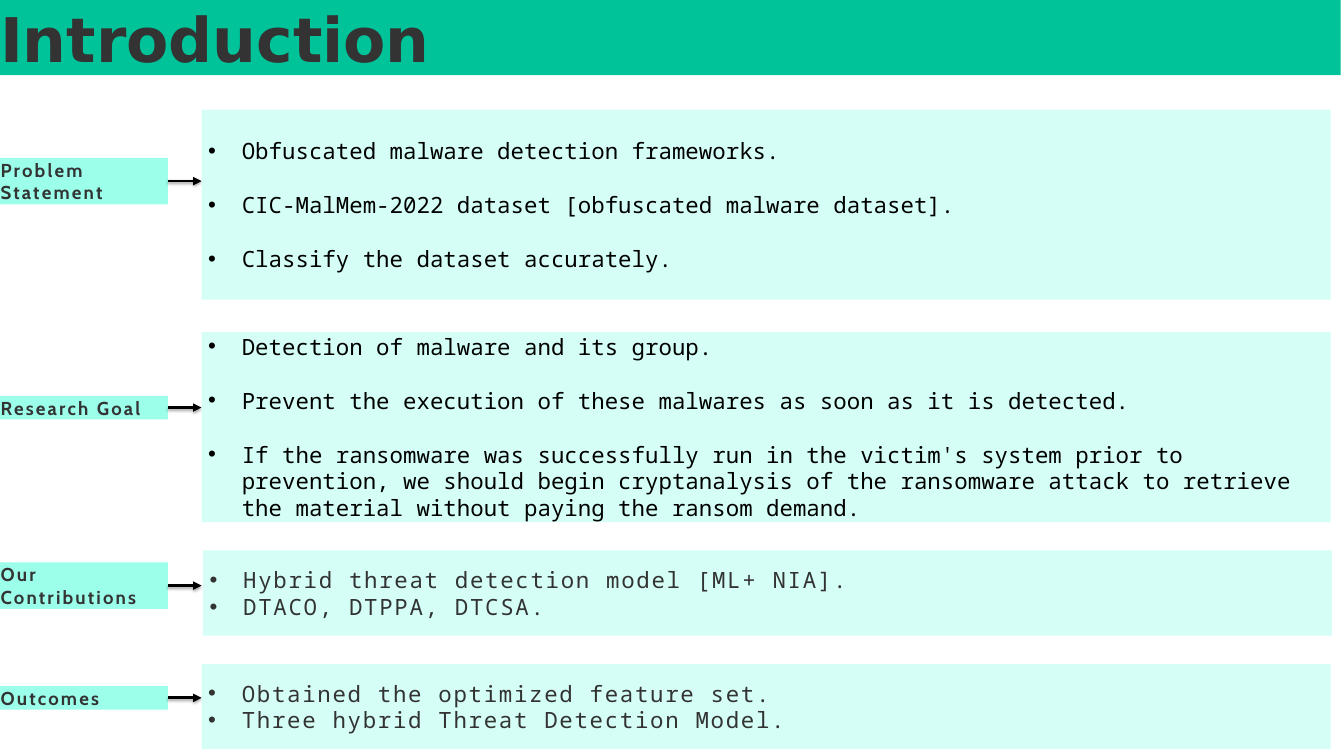
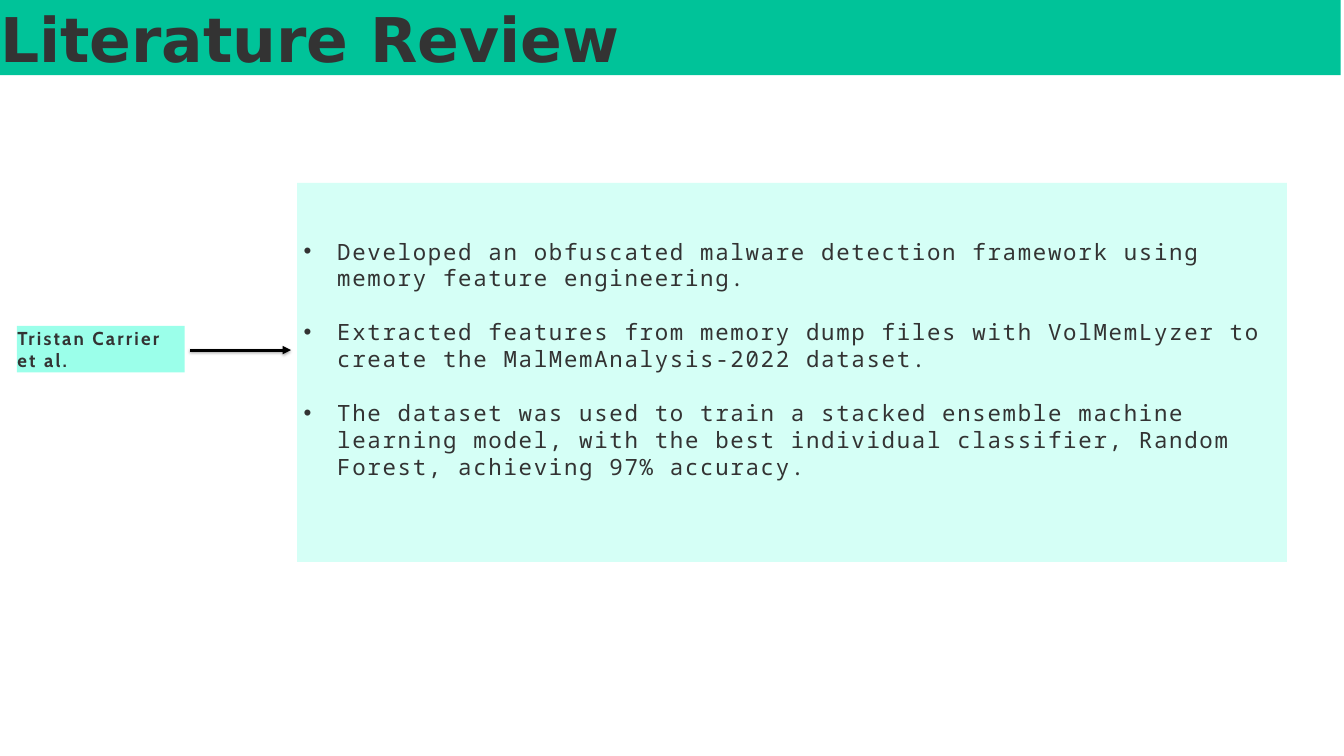
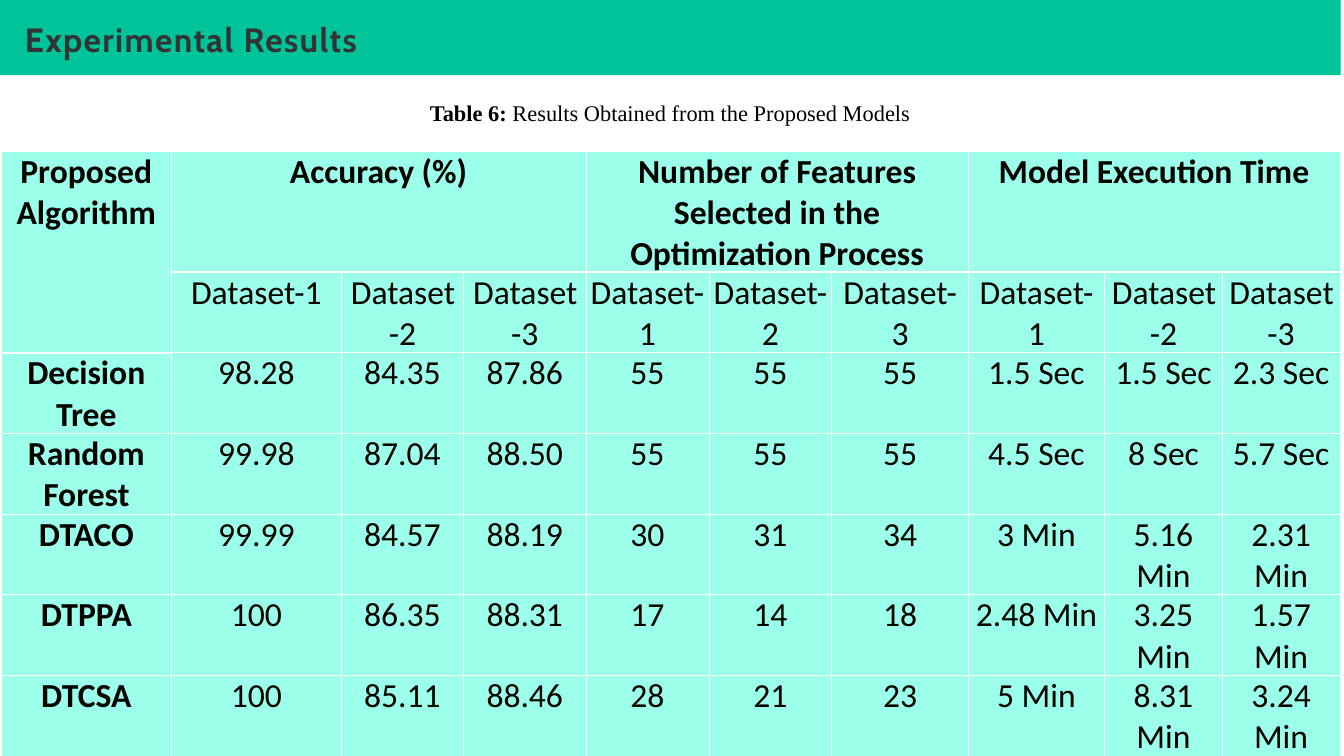
from lxml import etree
from pptx import Presentation
from pptx.dml.color import RGBColor
from pptx.enum.shapes import MSO_CONNECTOR, MSO_SHAPE
from pptx.enum.text import MSO_ANCHOR, MSO_AUTO_SIZE, PP_ALIGN
from pptx.oxml import parse_xml
from pptx.oxml.ns import nsdecls, qn
from pptx.util import Inches, Pt

RECT = MSO_SHAPE.RECTANGLE
LINE = MSO_CONNECTOR.STRAIGHT
TOP, MIDDLE = MSO_ANCHOR.TOP, MSO_ANCHOR.MIDDLE
LEFT, CENTER = PP_ALIGN.LEFT, PP_ALIGN.CENTER
GROW = MSO_AUTO_SIZE.SHAPE_TO_FIT_TEXT

# Shared look
GREEN, MINT, PALE = "00C399", "9BFFEA", "D5FFF6"
DARK, BLACK, WHITE = "333333", "000000", "FFFFFF"
HEAD, LABEL, MONO = "DejaVu Sans", "Cabin", "Noto Sans Mono"
CELL, SERIF = "Calibri", "Times New Roman"
GAP = 29  # one line of list text, in points

# Slide 1: label, label top and height, panel left, top and height,
# text colour, letter spacing, gap, list items
TOPICS = [
    ("Problem Statement", 2.35, 0.69, 3, 1.63, 2.83, BLACK, 0, GAP, [
        "Obfuscated malware detection frameworks.",
        "CIC-MalMem-2022 dataset [obfuscated malware dataset].",
        "Classify the dataset accurately."]),
    ("Research Goal", 5.89, 0.35, 3, 4.94, 2.83, BLACK, 0, GAP, [
        "Detection of malware and its group.",
        "Prevent the execution of these malwares as soon as it is detected.",
        "If the ransomware was successfully run in the victim's system prior "
        "to prevention, we should begin cryptanalysis of the ransomware "
        "attack to retrieve the material without paying the ransom demand."]),
    ("Our Contributions", 8.37, 0.69, 3.02, 8.19, 1.27, DARK, 1.8, 0, [
        "Hybrid threat detection model [ML+ NIA].",
        "DTACO, DTPPA, DTCSA."]),
    ("Outcomes", 10.21, 0.35, 3, 9.88, 1.27, DARK, 1.8, 0, [
        "Obtained the optimized feature set.",
        "Three hybrid Threat Detection Model."]),
]

# Slide 2
REVIEW = [
    "Developed an obfuscated malware detection framework using memory "
    "feature engineering.",
    "Extracted features from memory dump files with VolMemLyzer to create "
    "the MalMemAnalysis-2022 dataset.",
    "The dataset was used to train a stacked ensemble machine learning "
    "model, with the best individual classifier, Random Forest, achieving "
    "97% accuracy.",
]

# Slide 3
GROUPS = ["Accuracy (%)",
          "Number of Features Selected in the Optimization Process",
          "Model Execution Time"]
SETS = ["Dataset-1", "Dataset-2", "Dataset-3"]
RESULTS = [
    ["Decision Tree", "98.28", "84.35", "87.86", "55", "55", "55",
     "1.5 Sec", "1.5 Sec", "2.3 Sec"],
    ["Random Forest", "99.98", "87.04", "88.50", "55", "55", "55",
     "4.5 Sec", "8 Sec", "5.7 Sec"],
    ["DTACO", "99.99", "84.57", "88.19", "30", "31", "34",
     "3 Min", "5.16 Min", "2.31 Min"],
    ["DTPPA", "100", "86.35", "88.31", "17", "14", "18",
     "2.48 Min", "3.25 Min", "1.57 Min"],
    ["DTCSA", "100", "85.11", "88.46", "28", "21", "23",
     "5 Min", "8.31 Min", "3.24 Min"],
]
WIDTHS = [2.53, 2.53, 1.82, 1.82, 1.83, 1.83, 2.03, 2.03, 1.75, 1.75]
HEIGHTS = [1.8] + [1.2] * 6


def color(code):
    return RGBColor.from_string(code)


def box(left, top, width, height):
    return [Inches(n) for n in (left, top, width, height)]


def style(run, face, size, tint, bold=False, track=0):
    font = run.font
    font.name, font.size, font.bold = face, Pt(size), bold
    font.color.rgb = color(tint)
    if track:
        run._r.get_or_add_rPr().set("spc", str(round(track * 100)))


def inset(item, left, top, right, bottom):
    item.margin_left, item.margin_top = Inches(left), Inches(top)
    item.margin_right, item.margin_bottom = Inches(right), Inches(bottom)


def block(slide, place, tint):
    shape = slide.shapes.add_shape(RECT, *box(*place))
    shape.shadow.inherit = False
    shape.fill.solid()
    shape.fill.fore_color.rgb = color(tint)
    shape.line.fill.background()
    return shape


def tight(frame, text, face, size, indent=0, before=0, track=0):
    """Fill a frame with one bold, left-aligned paragraph."""
    frame.text = text
    frame.word_wrap = True
    frame.auto_size = GROW
    frame.vertical_anchor = TOP
    inset(frame, indent, 0.01, 0, 0)
    para = frame.paragraphs[0]
    para.alignment, para.space_before = LEFT, Pt(before)
    style(para.runs[0], face, size, DARK, True, track)


def page(deck, text, place=(0, 0, 18.59, 1.12), **look):
    """Add a slide with the green band and its title."""
    slide = deck.slides.add_slide(deck.slide_layouts[5])
    block(slide, (0, 0, 19.95, 1.12), GREEN)
    title = slide.shapes.title
    slide.shapes.element.append(title.element)  # in front of the band
    title.left, title.top, title.width, title.height = box(*place)
    tight(title.text_frame, text, **(look or {"face": HEAD, "size": 66}))
    return slide


def label(slide, text, left, top, height):
    shape = block(slide, (left, top, 2.5, height), MINT)
    tight(shape.text_frame, text, LABEL, 20, 0.01, 1, 2.3)


def arrow(slide, start, end, level):
    line = slide.shapes.add_connector(
        LINE, Inches(start), Inches(level), Inches(end), Inches(level))
    line.line.color.rgb = color(BLACK)
    line.line.width = Pt(3)
    etree.SubElement(line.line._get_or_add_ln(), qn("a:tailEnd"),
                     type="triangle")
    line._element.spPr.append(parse_xml(
        f'<a:effectLst {nsdecls("a")}><a:outerShdw blurRad="{Pt(3.1)}" '
        f'dist="{Pt(1.8)}" dir="5400000" rotWithShape="0">'
        f'<a:srgbClr val="{BLACK}"><a:alpha val="35000"/></a:srgbClr>'
        '</a:outerShdw></a:effectLst>'))


def panel(slide, place, items, tint, track, gap, foot=0.05):
    """Add a pale panel with a bulleted list."""
    frame = block(slide, place, PALE).text_frame
    frame.word_wrap = True
    frame.vertical_anchor = MIDDLE
    inset(frame, 0.1, 0.05, 0.1, foot)
    frame.text = "\n".join(items)
    for row, para in enumerate(frame.paragraphs):
        para.alignment = LEFT
        para.space_before = Pt(gap if row else 0)
        props = para._p.get_or_add_pPr()
        props.set("marL", str(Inches(0.5)))
        props.set("indent", str(-Inches(0.5)))
        etree.SubElement(props, qn("a:buFont"), typeface="Arial")
        etree.SubElement(props, qn("a:buChar"), char="•")
        style(para.runs[0], MONO, 24, tint, track=track)


def edge(cell, under):
    """Draw white cell borders; under is the bottom width."""
    props = cell._tc.get_or_add_tcPr()
    for side, width in zip("LRTB", (1, 1, 1, under)):
        props.append(parse_xml(
            f'<a:ln{side} {nsdecls("a")} w="{Pt(width)}"><a:solidFill>'
            f'<a:srgbClr val="{WHITE}"/></a:solidFill></a:ln{side}>'))


def table(slide, rows):
    frame = slide.shapes.add_table(len(rows), len(WIDTHS),
                                   *box(0.02, 2.25, 19.92, 9))
    grid = frame.table
    grid.first_row = grid.horz_banding = False
    for col, width in zip(grid.columns, WIDTHS):
        col.width = Inches(width)
    for row, height in zip(grid.rows, HEIGHTS):
        row.height = Inches(height)
    for r, texts in enumerate(rows):
        for c, text in enumerate(texts):
            cell = grid.cell(r, c)
            edge(cell, 1 if r else 3)
            cell.fill.solid()
            cell.fill.fore_color.rgb = color(MINT)
            inset(cell, 0.07, 0, 0.07, 0)
            cell.text = text
            para = cell.text_frame.paragraphs[0]
            para.alignment = CENTER
            for run in para.runs:
                style(run, CELL, 36, BLACK, r == 0 or c == 0)
    # Merged headings
    grid.cell(0, 0).merge(grid.cell(1, 0))
    for c in range(1, len(WIDTHS), len(SETS)):
        grid.cell(0, c).merge(grid.cell(0, c + len(SETS) - 1))


def caption(slide, lead, rest):
    frame = slide.shapes.add_textbox(*box(4.97, 1.43, 10, 0.5)).text_frame
    frame.word_wrap = True
    frame.auto_size = GROW
    para = frame.paragraphs[0]
    para.alignment = CENTER
    para.space_before = para.space_after = Pt(12)
    for text, bold in ((lead, True), (rest, False)):
        run = para.add_run()
        run.text = text
        style(run, SERIF, 24, BLACK, bold)


def main():
    deck = Presentation()
    deck.slide_width, deck.slide_height = Inches(20), Inches(11.25)

    # Introduction
    slide = page(deck, "Introduction")
    for name, top, tall, left, head, high, tint, track, gap, items in TOPICS:
        label(slide, name, 0, top, tall)
        arrow(slide, 2.5, 3, top + tall / 2)
        panel(slide, (left, head, 16.8, high), items, tint, track, gap)

    # Literature review
    slide = page(deck, "Literature Review")
    label(slide, "Tristan Carrier et al.", 0.25, 4.85, 0.69)
    arrow(slide, 2.83, 4.33, 5.21)
    panel(slide, (4.42, 2.72, 14.73, 5.64), REVIEW, DARK, 1.8, GAP, 0.45)

    # Results
    slide = page(deck, "Experimental Results", (0.36, 0.27, 11.11, 0.62),
                 face=LABEL, size=36, indent=0.01, before=1, track=1.5)
    heads = ["Proposed Algorithm"]
    for group in GROUPS:
        heads += [group, "", ""]
    table(slide, [heads, [""] + SETS * len(GROUPS)] + RESULTS)
    caption(slide, "Table 6:", " Results Obtained from the Proposed Models")

    deck.save("out.pptx")


if __name__ == "__main__":
    main()
